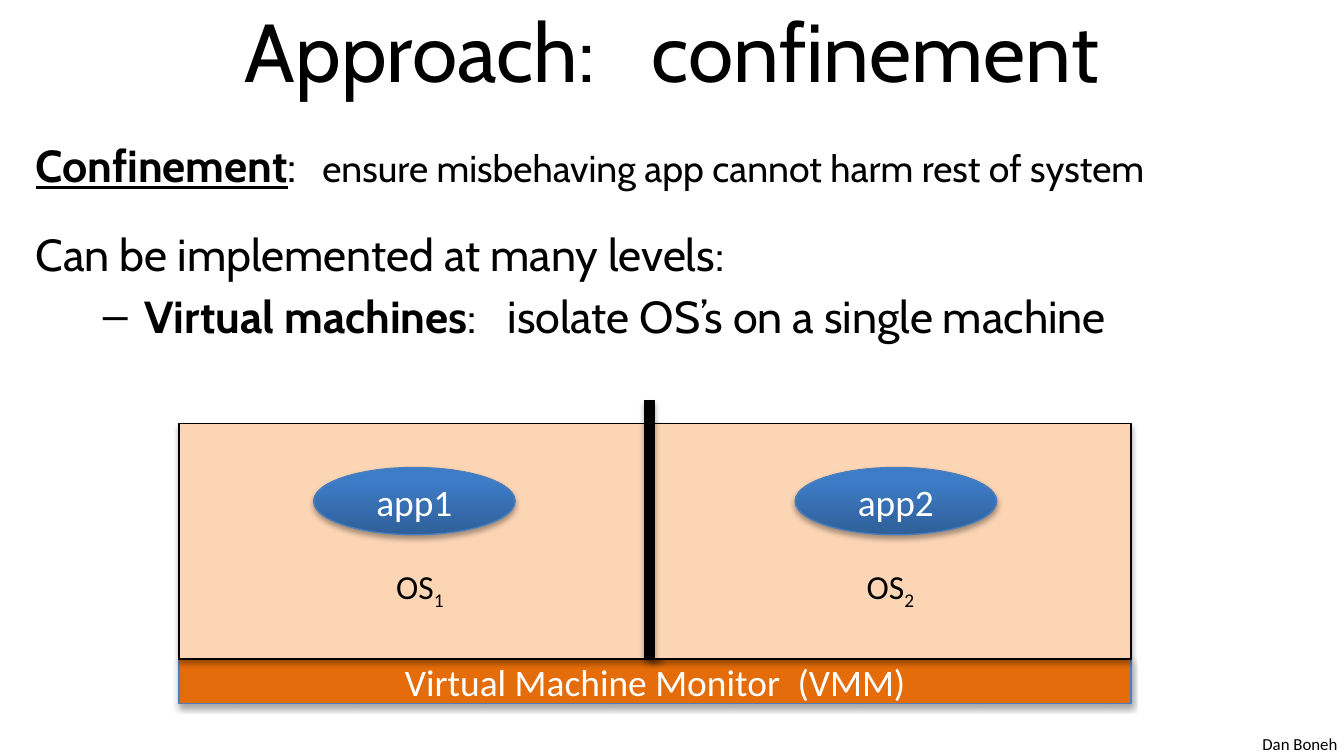
from lxml.etree import SubElement
from pptx import Presentation
from pptx.dml.color import RGBColor as RGB
from pptx.enum.shapes import MSO_CONNECTOR as CONNECTOR, MSO_SHAPE as SHAPE
from pptx.enum.text import MSO_ANCHOR as ANCHOR, PP_ALIGN as ALIGN
from pptx.oxml.ns import qn
from pptx.util import Pt

COLORS = {
    "text": "000000", "light": "FFFFFF", "os": "FCD5B5", "monitor": "E46C0A",
    "app_dark": "2F5F99", "app_bright": "3D7CC7", "edge": "4B7EBC",
}
HEADING, LABEL = "Cabin", "Calibri"
BOLD, UNDERLINED = {"bold": True}, {"bold": True, "underline": True}
SPACE = 0.23  # width of a space, in ems


def add_runs(paragraph, font, color, runs):
    """Runs are (text, size, traits); the trait "gap" widens by that many spaces."""
    for text, size, traits in runs:
        run = paragraph.add_run()
        run.text = text
        run.font.name, run.font.size = font, Pt(size)
        run.font.color.rgb = RGB.from_string(COLORS[color])
        run.font.bold = traits.get("bold", False)
        run.font.underline = traits.get("underline", False)
        properties = run.font._element
        if "gap" in traits:
            properties.set("spc", str(round(100 * size * SPACE * traits["gap"])))
        if "baseline" in traits:
            properties.set("baseline", str(traits["baseline"]))


def finish(shape, edge, width):
    """Set the outline, then the soft shadow below the shape."""
    shape.line.color.rgb = RGB.from_string(COLORS[edge])
    shape.line.width = Pt(width)
    effects = SubElement(shape._element.spPr, qn("a:effectLst"))
    shadow = SubElement(effects, qn("a:outerShdw"), blurRad=str(Pt(3.1)),
                        dist=str(Pt(1.8)), dir="5400000", rotWithShape="0")
    black = SubElement(shadow, qn("a:srgbClr"), val=COLORS["text"])
    SubElement(black, qn("a:alpha"), val="35000")


prs = Presentation()
prs.slide_width, prs.slide_height = Pt(720), Pt(405)
slide = prs.slides.add_slide(prs.slide_layouts[6])
shapes = slide.shapes

# Author
author = shapes.add_textbox(Pt(665), Pt(389.5), Pt(55), Pt(15.5)).text_frame
author.margin_right = Pt(3.5)
author.word_wrap = False
author.paragraphs[0].alignment = ALIGN.RIGHT
add_runs(author.paragraphs[0], LABEL, "text", [("Dan Boneh", 9, {})])

# Title
title = shapes.add_textbox(Pt(36), Pt(0), Pt(648), Pt(53)).text_frame
title.word_wrap = True
title.margin_top = title.margin_bottom = 0
title.vertical_anchor = ANCHOR.MIDDLE
title.paragraphs[0].alignment = ALIGN.CENTER
add_runs(title.paragraphs[0], HEADING, "text",
         [("Approach:", 44, {}), (" ", 44, {"gap": 2}), ("confinement", 44, {})])

# Definition and levels
body = shapes.add_textbox(Pt(12), Pt(70.5), Pt(684), Pt(333)).text_frame
body.word_wrap = True
definition = body.paragraphs[0]
levels, machines = body.add_paragraph(), body.add_paragraph()
add_runs(definition, HEADING, "text", [
    ("Confinement", 24, UNDERLINED), (":", 24, {}), (" ", 20, {"gap": 2}),
    ("ensure misbehaving app cannot harm rest of system", 20, {})])
levels.space_before = Pt(18.5)
add_runs(levels, HEADING, "text", [("Can be implemented at many levels:", 24, {})])
machines.space_before = Pt(4.5)
indent = machines._p.get_or_add_pPr()
indent.set("marL", str(Pt(58.5)))
indent.set("indent", str(Pt(-22.5)))
SubElement(indent, qn("a:buFont"), typeface="Arial")
SubElement(indent, qn("a:buChar"), char="–")
add_runs(machines, HEADING, "text", [
    ("Virtual machines", 24, BOLD), (":", 24, {}), (" ", 24, {"gap": 2}),
    ("isolate OS’s on a single machine", 24, {})])

# Virtual machine monitor with two systems on top
LEFT, TOP, WIDTH, OS_HEIGHT, OS_WIDTH = 96, 227, 510, 126, 258
os_bottom = TOP + OS_HEIGHT
os_lefts = [LEFT, LEFT + WIDTH - OS_WIDTH]

monitor = shapes.add_shape(SHAPE.RECTANGLE, Pt(LEFT), Pt(os_bottom), Pt(WIDTH), Pt(24))
monitor.fill.solid()
monitor.fill.fore_color.rgb = RGB.from_string(COLORS["monitor"])
finish(monitor, "edge", 0.75)
monitor.text_frame.vertical_anchor = ANCHOR.MIDDLE
monitor.text_frame.paragraphs[0].alignment = ALIGN.CENTER
add_runs(monitor.text_frame.paragraphs[0], LABEL, "light", [
    ("Virtual Machine Monitor", 20, {}), (" ", 20, {"gap": 1}), ("(VMM)", 20, {})])

for number, left in enumerate(os_lefts, 1):
    system = shapes.add_shape(SHAPE.RECTANGLE, Pt(left), Pt(TOP), Pt(OS_WIDTH), Pt(OS_HEIGHT))
    system.fill.solid()
    system.fill.fore_color.rgb = RGB.from_string(COLORS["os"])
    finish(system, "text", 0.75)
    frame = system.text_frame
    frame.vertical_anchor = ANCHOR.BOTTOM
    frame.margin_bottom = Pt(25.5)
    frame.paragraphs[0].alignment = ALIGN.CENTER
    add_runs(frame.paragraphs[0], LABEL, "text",
             [("OS", 18, {}), (str(number), 18, {"baseline": -25000})])

wall_x = os_lefts[1]
wall = shapes.add_connector(CONNECTOR.STRAIGHT, Pt(wall_x), Pt(214.5), Pt(wall_x), Pt(os_bottom))
finish(wall, "text", 6)

for number, left in enumerate([168, 426], 1):
    app = shapes.add_shape(SHAPE.OVAL, Pt(left), Pt(250.5), Pt(108), Pt(36))
    app.fill.gradient()
    app.fill.gradient_angle = 90
    for stop, color, position in zip(app.fill.gradient_stops, ["app_dark", "app_bright"], [0, 0.8]):
        stop.color.rgb = RGB.from_string(COLORS[color])
        stop.position = position
    finish(app, "edge", 0.75)
    app.text_frame.vertical_anchor = ANCHOR.MIDDLE
    app.text_frame.paragraphs[0].alignment = ALIGN.CENTER
    add_runs(app.text_frame.paragraphs[0], LABEL, "light", [(f"app{number}", 20, {})])

prs.save("out.pptx")
